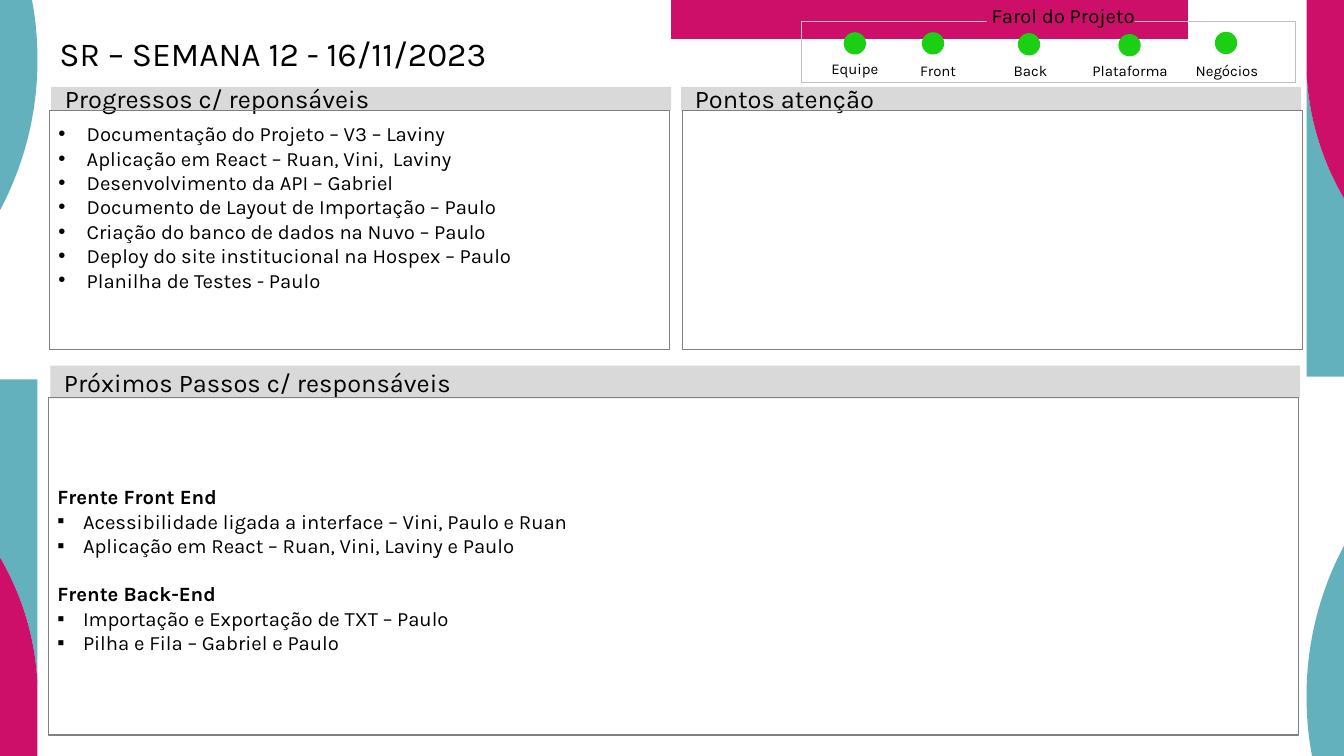
from lxml import etree
from pptx import Presentation
from pptx.dml.color import RGBColor
from pptx.enum.shapes import MSO_SHAPE
from pptx.enum.text import MSO_ANCHOR, PP_ALIGN
from pptx.oxml.ns import qn
from pptx.util import Inches, Pt

COLS, ROWS = 147, 82.7
CELL = Inches(0.1)
RECT, OVAL = MSO_SHAPE.RECTANGLE, MSO_SHAPE.OVAL
TOP, MIDDLE, BOTTOM = MSO_ANCHOR.TOP, MSO_ANCHOR.MIDDLE, MSO_ANCHOR.BOTTOM
LEFT, CENTER = PP_ALIGN.LEFT, PP_ALIGN.CENTER
FONT = "Karla"
COLORS = {
    "teal": "63B1BC", "pink": "CE0F69", "green": "1BCF13", "head": "D9D9D9",
    "frame": "808080", "thin": "BFBFBF", "ink": "000000",
}
DONE = [
    "Documentação do Projeto – V3 – Laviny",
    "Aplicação em React – Ruan, Vini,  Laviny",
    "Desenvolvimento da API – Gabriel",
    "Documento de Layout de Importação – Paulo",
    "Criação do banco de dados na Nuvo – Paulo",
    "Deploy do site institucional na Hospex – Paulo",
    "Planilha de Testes - Paulo",
]
NEXT = {
    "Frente Front End": [
        "Acessibilidade ligada a interface – Vini, Paulo e Ruan",
        "Aplicação em React – Ruan, Vini, Laviny e Paulo",
    ],
    "Frente Back-End": [
        "Importação e Exportação de TXT – Paulo",
        "Pilha e Fila – Gabriel e Paulo",
    ],
}
LIGHTS = [
    ("Equipe", 4.65, 1.3, 0.9, 4.2),
    ("Front", 13.2, 1.3, 10, 4.4),
    ("Back", 23.7, 1.4, 20.1, 4.4),
    ("Plataforma", 34.7, 1.5, 31, 4.4),
    ("Negócios", 45.25, 1.25, 41.6, 4.4),
]


def color(name):
    """Return a palette colour."""
    return RGBColor.from_string(COLORS[name])


def units(*cells):
    """Convert grid cells to slide lengths."""
    return [round(n * CELL) for n in cells]


def paint(shape, fill=None, line=None, width=1):
    """Set the fill and outline of a shape."""
    shape.shadow.inherit = False
    if fill:
        shape.fill.solid()
        shape.fill.fore_color.rgb = color(fill)
    else:
        shape.fill.background()
    if line:
        shape.line.color.rgb = color(line)
        shape.line.width = Pt(width)
    else:
        shape.line.fill.background()


def block(slide, box, kind=RECT, **look):
    """Add a painted preset shape."""
    shape = slide.shapes.add_shape(kind, *units(*box))
    paint(shape, **look)
    return shape


def setup(shape, insets, anchor=TOP, wrap=True):
    """Prepare the text frame of a shape."""
    frame = shape.text_frame
    frame.word_wrap, frame.vertical_anchor = wrap, anchor
    (frame.margin_left, frame.margin_top,
     frame.margin_right, frame.margin_bottom) = units(*insets)
    return frame


def write(frame, text, size=16, bold=False, align=LEFT, mark="", indent=0,
          before=0, spacing=None):
    """Append a formatted paragraph, filling the empty first one."""
    first = frame.paragraphs[0]
    para = frame.add_paragraph() if first.runs else first
    para.alignment, para.space_before = align, Pt(before)
    if spacing:
        para.line_spacing = spacing
    run = para.add_run()
    run.text = text
    run.font.size, run.font.bold, run.font.name = Pt(size), bold, FONT
    run.font.color.rgb = color("ink")
    if mark:
        props = para._p.get_or_add_pPr()
        props.set("marL", str(Inches(indent)))
        props.set("indent", str(-Inches(indent)))
        etree.SubElement(props, qn("a:buFont")).set("typeface", "Arial")
        etree.SubElement(props, qn("a:buChar")).set("char", mark)


def outline(slide, points, fill, bends=0):
    """Draw a closed outline whose first bends are cubic curves."""
    spots = [units(*point) for point in points]
    maker = slide.shapes.build_freeform(*spots[0], scale=1.0)
    maker.add_line_segments(spots[1:], close=True)
    shape = maker.convert_to_shape()
    lines = list(shape._element.iter(qn("a:lnTo")))
    for start in range(0, 3 * bends, 3):
        bend = etree.Element(qn("a:cubicBezTo"))
        lines[start].addprevious(bend)
        for line in lines[start:start + 3]:
            bend.append(line[0])
            line.getparent().remove(line)
    paint(shape, fill=fill)


def border(slide):
    """Draw the top band and the side curves, turned to both sides."""
    outline(slide, [(73.4, 0), (129.9, 0), (129.9, 4.3), (73.4, 4.3)], "pink")
    edge = 142.9
    arc = [(COLS, 21.7), (144.6, 17.6), (143.1, 12.8), (edge, 7.8)]
    lens = [(COLS, 59.7), (144.4, 64.6), (edge, 70.2), (edge, 76.1),
            (edge, 78.4), (143.1, 80.6), (143.5, ROWS)]
    parts = [
        (arc + [(edge, 41.2), (COLS, 41.2)], "teal", 1),
        (arc + [(edge, 0), (COLS, 0)], "pink", 1),
        (lens + [(COLS, ROWS)], "teal", 2),
    ]
    for points, fill, bends in parts:
        outline(slide, points, fill, bends)
        turned = [(COLS - x, ROWS - y) for x, y in points]
        outline(slide, turned, fill, bends)


def title(slide, box, text):
    """Write the slide title in its box."""
    area = slide.shapes.add_textbox(*units(*box))
    write(setup(area, (1.2, 0, 1.2, 0)), text, size=26.4, spacing=0.9)


def panel(slide, box, text, head, shift, anchor=TOP, lap=0):
    """Draw a headed panel and return the text frame of its body."""
    x, y, w, h = box
    bar = block(slide, (x + shift, y, w, head), fill="head")
    write(setup(bar, (1.5, 0.7, 1.5, 0.7), MIDDLE), text, size=20)
    top = head - lap
    body = block(slide, (x, y + top, w, h - top), line="frame")
    return setup(body, (1, 1.2, 1, 0.5), anchor)


def status(slide, box):
    """Draw the project lights with their labels."""
    x, y, w, h = box
    for name, dot_x, dot_y, tag_x, tag_y in LIGHTS:
        block(slide, (x + dot_x, y + dot_y, 2.3, 2.3), OVAL,
              fill="green", line="green")
        tag = slide.shapes.add_textbox(*units(x + tag_x, y + tag_y, 9.8, 2))
        frame = setup(tag, (0.6, 0.6, 0.6, 0), BOTTOM, False)
        write(frame, name, size=11.8, align=CENTER)
    block(slide, box, line="thin", width=0.5)
    label = block(slide, (x + 20.2, y - 1.6, 16.2, 2.3), fill="pink")
    frame = setup(label, (1.2, 0.6, 0.6, 0), BOTTOM, False)
    write(frame, "Farol do Projeto", align=CENTER)


def main():
    """Build and save the weekly status slide."""
    deck = Presentation()
    deck.slide_width, deck.slide_height = units(COLS, ROWS)
    slide = deck.slides.add_slide(deck.slide_layouts[6])
    border(slide)
    title(slide, (5.3, 4.1, 132.3, 8.8), "SR – SEMANA 12 - 16/11/2023")
    done = panel(slide, (5.4, 9.5, 67.8, 28.7),
                 "Progressos c/ reponsáveis", 2.6, 0.2)
    for text in DONE:
        write(done, text, mark="•", indent=0.31)
    panel(slide, (74.65, 9.5, 67.8, 28.7), "Pontos atenção", 2.6, -0.15)
    steps = panel(slide, (5.3, 40, 136.7, 40.4),
                  "Próximos Passos c/ responsáveis", 3.6, 0.2, MIDDLE, 0.1)
    for place, (front, tasks) in enumerate(NEXT.items()):
        write(steps, front, bold=True, before=19 * place)
        for task in tasks:
            write(steps, task, mark="▪", indent=0.28)
    status(slide, (87.7, 2.3, 54, 6.75))
    deck.save("out.pptx")


if __name__ == "__main__":
    main()
